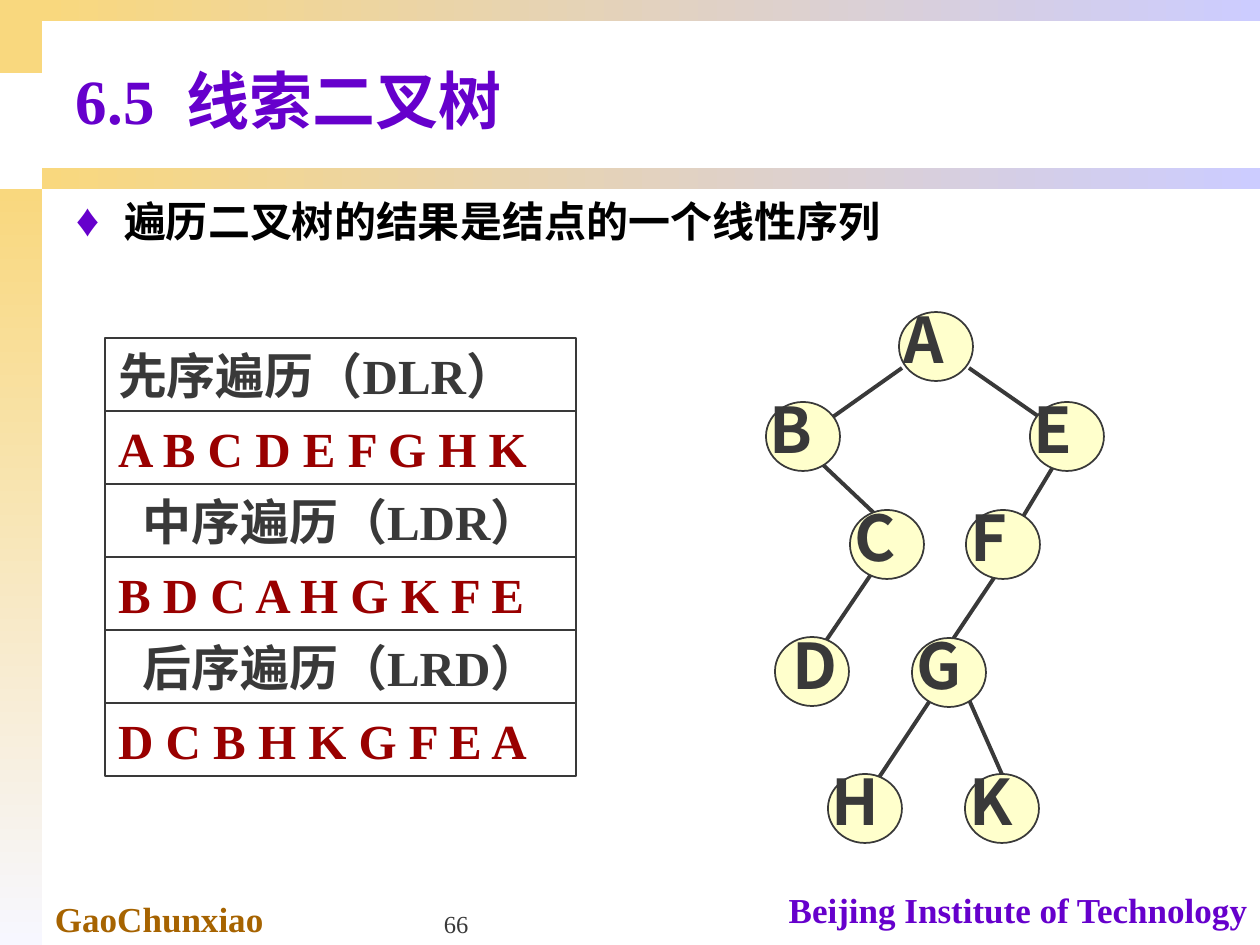
from lxml.etree import SubElement
from pptx import Presentation
from pptx.dml.color import RGBColor
from pptx.enum.shapes import MSO_CONNECTOR, MSO_SHAPE
from pptx.enum.text import MSO_ANCHOR, PP_ALIGN
from pptx.oxml.ns import qn
from pptx.util import Emu, Pt

EMU_PER_PX = 914400 / 126
GOLD = RGBColor(0xF9, 0xD8, 0x7E)
LAVENDER = RGBColor(0xCC, 0xCC, 0xFF)
MIST = RGBColor(0xF7, 0xF7, 0xFF)
BROWN = RGBColor(0xA6, 0x63, 0x00)
PURPLE = RGBColor(0x66, 0x00, 0xCC)
BLACK = RGBColor(0x00, 0x00, 0x00)
CHARCOAL = RGBColor(0x39, 0x39, 0x39)
DARK_RED = RGBColor(0x99, 0x00, 0x00)
CREAM = RGBColor(0xFF, 0xFF, 0xCC)
SERIF = "Times New Roman"
SANS = "Noto Sans CJK SC"

TRAVERSALS = [
    ("先序遍历（DLR）", "A B C D E F G H K", PP_ALIGN.LEFT),
    ("中序遍历（LDR）", "B D C A H G K F E", PP_ALIGN.CENTER),
    ("后序遍历（LRD）", "D C B H K G F E A", PP_ALIGN.CENTER),
]
NODES = {
    "A": (899, 312), "B": (766, 402), "E": (1030, 402),
    "C": (850, 510), "F": (966, 510), "D": (775, 637),
    "G": (912, 638), "H": (828, 774), "K": (965, 774),
}
BRANCHES = [
    (902, 368, 813, 431), (969, 368, 1058, 430),
    (820, 462, 876, 515), (1056, 462, 1018, 525),
    (876, 567, 819, 651), (1008, 557, 945, 651),
    (935, 693, 872, 788), (966, 693, 1008, 788),
]


def px(*lengths):
    """Turn pixel lengths into a list of EMU lengths."""
    return [Emu(round(length * EMU_PER_PX)) for length in lengths]


def write(shape, text, size, color, font=SERIF, bold=True,
          align=PP_ALIGN.LEFT, anchor=MSO_ANCHOR.MIDDLE, indent=13):
    """Fill a shape with one formatted paragraph and return the paragraph."""
    frame = shape.text_frame
    frame.word_wrap = True
    frame.vertical_anchor = anchor
    frame.margin_left, = px(indent)
    paragraph = frame.paragraphs[0]
    paragraph.alignment = align
    run = paragraph.add_run()
    run.text = text
    run.font.name = font
    run.font.size = Pt(size)
    run.font.bold = bold
    run.font.color.rgb = color
    SubElement(run._r.get_or_add_rPr(), qn("a:ea"), typeface=SANS)
    return paragraph


def add_label(slide, box, text, size, color, **style):
    """Add a text box with one line of text."""
    write(slide.shapes.add_textbox(*px(*box)), text, size, color, **style)


def add_outlined(slide, kind, box, fill=None):
    """Add a thinly outlined shape, hollow unless a fill is given."""
    shape = slide.shapes.add_shape(kind, *px(*box))
    shape.shadow.inherit = False
    shape.line.color.rgb = CHARCOAL
    shape.line.width = Pt(1)
    if fill is None:
        shape.fill.background()
    else:
        shape.fill.solid()
        shape.fill.fore_color.rgb = fill
    return shape


def add_band(slide, box, start, end, angle=0):
    """Add a borderless band that blends between two colours."""
    band = slide.shapes.add_shape(MSO_SHAPE.RECTANGLE, *px(*box))
    band.shadow.inherit = False
    band.line.fill.background()
    if start == end:
        band.fill.solid()
        band.fill.fore_color.rgb = start
        return
    band.fill.gradient()
    band.fill.gradient_angle = angle
    for stop, color, position in zip(band.fill.gradient_stops, (start, end), (0, 1)):
        stop.color.rgb = color
        stop.position = position


def add_branch(slide, ends):
    """Draw one branch of the tree."""
    branch = slide.shapes.add_connector(MSO_CONNECTOR.STRAIGHT, *px(*ends))
    branch.line.color.rgb = CHARCOAL
    branch.line.width = Pt(2.25)
    SubElement(branch._element.spPr, qn("a:effectLst"))


def add_node(slide, letter, left, top):
    """Draw one tree node and its letter."""
    add_outlined(slide, MSO_SHAPE.OVAL, (left, top, 74, 69), CREAM)
    if letter == "D":
        box, style = (left - 40, top - 17, 159, 88), {"align": PP_ALIGN.CENTER}
    else:
        box, style = (left - 20, top - 18, 133, 88), {"indent": 24}
    add_label(slide, box, letter, 36, CHARCOAL, font=SANS, **style)


def place(placeholder, box):
    """Move a placeholder to a pixel box."""
    (placeholder.left, placeholder.top,
     placeholder.width, placeholder.height) = px(*box)


def add_diamond_bullet(paragraph):
    """Give a paragraph a hanging diamond bullet."""
    paragraph.space_before = Pt(5)
    properties = paragraph._p.get_or_add_pPr()
    hang, = px(48)
    properties.set("marL", str(hang))
    properties.set("indent", str(-hang))
    color = SubElement(properties, qn("a:buClr"))
    SubElement(color, qn("a:srgbClr"), val=str(PURPLE))
    SubElement(properties, qn("a:buSzPct"), val="110000")
    SubElement(properties, qn("a:buChar"), char="♦")


def add_frame(slide):
    """Draw the coloured bands and the footer."""
    add_band(slide, (0, 0, 42, 73), GOLD, GOLD)
    add_band(slide, (0, 189, 42, 756), GOLD, MIST, angle=270)
    for top in (168, 0):
        add_band(slide, (42, top, 1218, 21), GOLD, LAVENDER)
    add_label(slide, (42, 891, 441, 55), "GaoChunxiao", 20, BROWN)
    add_label(slide, (766, 882, 494, 54), "Beijing Institute of Technology", 20,
              PURPLE, align=PP_ALIGN.RIGHT)
    add_label(slide, (431, 882, 262, 63), "66", 14, CHARCOAL, bold=False,
              anchor=MSO_ANCHOR.BOTTOM)


def add_traversals(slide):
    """Stack each traversal's heading above its sequence."""
    rows = []
    for heading, sequence, align in TRAVERSALS:
        rows += [(heading, CHARCOAL, align), (sequence, DARK_RED, PP_ALIGN.LEFT)]
    for index, (text, color, align) in enumerate(rows):
        cell = add_outlined(slide, MSO_SHAPE.RECTANGLE, (105, 338 + 73 * index, 471, 73))
        write(cell, text, 28, color, align=align)


def main():
    """Build the slide and save it."""
    deck = Presentation()
    deck.slide_width, deck.slide_height = px(1260, 945)
    slide = deck.slides.add_slide(deck.slide_layouts[1])
    add_frame(slide)
    title, body = slide.placeholders
    place(title, (63, 32, 1197, 135))
    write(title, "6.5  线索二叉树", 36, PURPLE)
    place(body, (63, 189, 1197, 683))
    add_diamond_bullet(write(body, "遍历二叉树的结果是结点的一个线性序列", 24, BLACK,
                             anchor=MSO_ANCHOR.TOP))
    add_traversals(slide)
    for ends in BRANCHES:
        add_branch(slide, ends)
    for letter, (left, top) in NODES.items():
        add_node(slide, letter, left, top)
    deck.save("out.pptx")


if __name__ == "__main__":
    main()
